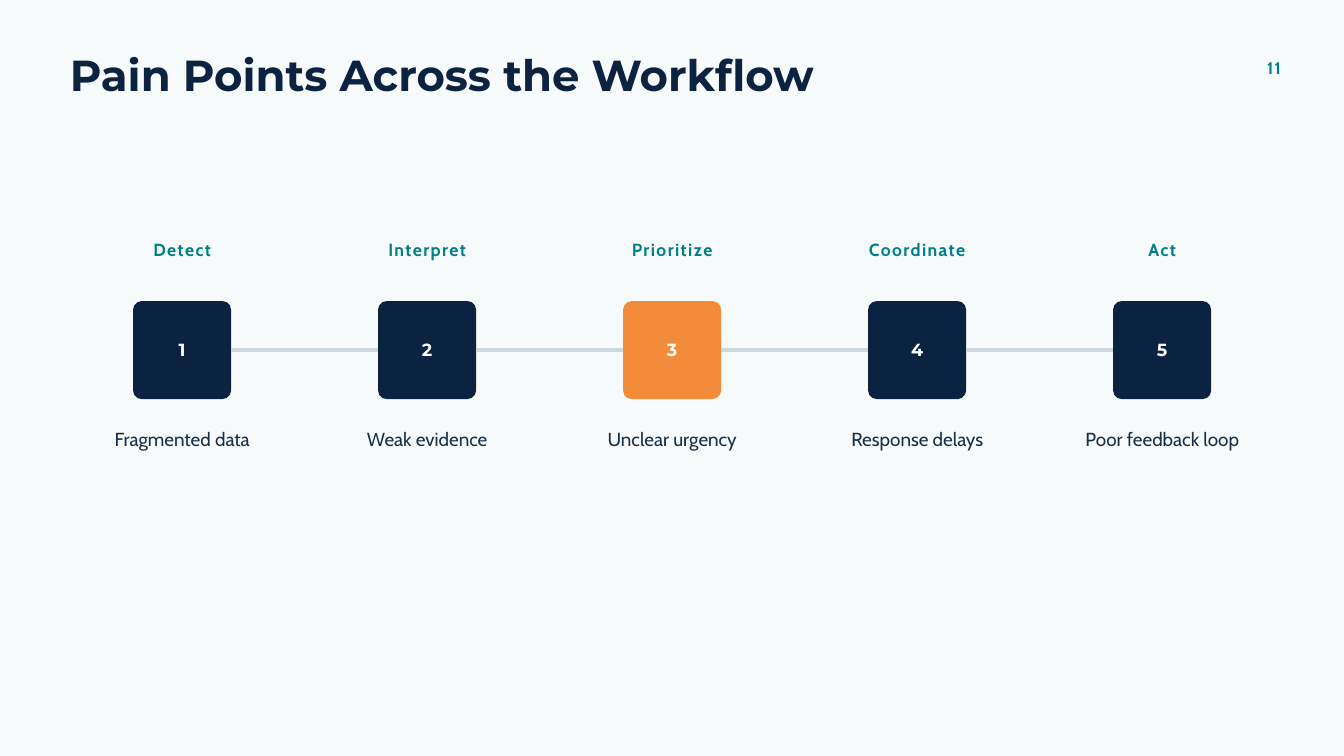
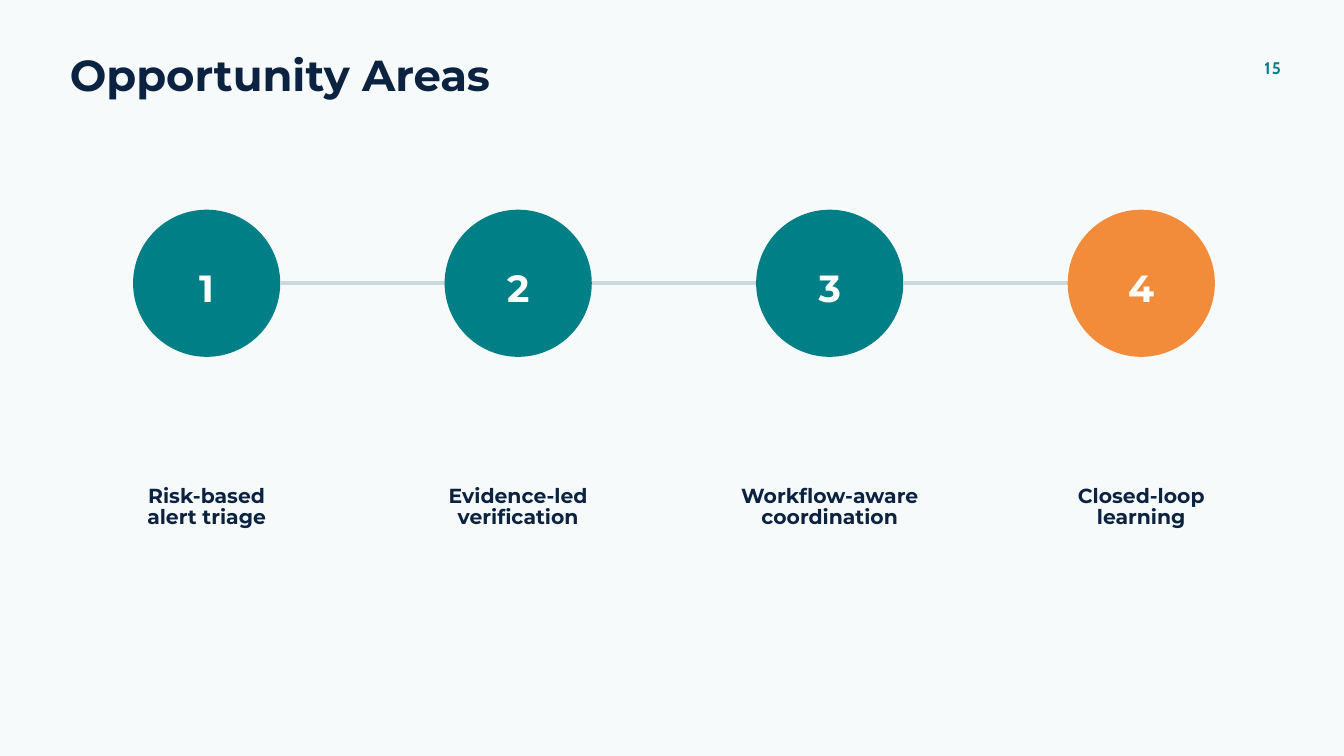
from lxml import etree
from pptx import Presentation
from pptx.dml.color import RGBColor
from pptx.enum.shapes import MSO_CONNECTOR as Connector, MSO_SHAPE as Shape
from pptx.enum.text import MSO_ANCHOR as Anchor, MSO_AUTO_SIZE as AutoSize, PP_ALIGN as Align
from pptx.oxml.ns import qn
from pptx.util import Inches, Pt

COLORS = {
    "background": "F7FAFB",
    "navy": "0B2340",
    "teal": "007F86",
    "orange": "F28C3A",
    "line": "C9D9DC",
    "body": "163047",
    "white": "FFFFFF",
}
HEADING, BODY = "Montserrat", "Cabin"
FIRST_LEFT = 1.98  # left edge of the first node on every slide


def rgb(name):
    return RGBColor.from_string(COLORS[name])


def write(frame, text, *, size, leading, color, font=HEADING, bold=True,
          align=Align.CENTER, tracking=0, inset=0):
    """Fill a text frame, one paragraph for each line of text."""
    frame.word_wrap = True
    frame.margin_left = frame.margin_right = Inches(inset)
    frame.margin_top = frame.margin_bottom = Inches(inset)
    for index, line in enumerate(text.split("\n")):
        paragraph = frame.add_paragraph() if index else frame.paragraphs[0]
        paragraph.alignment = align
        paragraph.line_spacing = Pt(leading)
        run = paragraph.add_run()
        run.text = line
        run.font.name = font
        run.font.size = Pt(size)
        run.font.bold = bold
        run.font.color.rgb = rgb(color)
        if tracking:
            run.font._element.set("spc", str(round(tracking * 100)))


class Deck:
    def __init__(self):
        self.prs = Presentation()
        self.prs.slide_width, self.prs.slide_height = Inches(20), Inches(11.25)
        self.slide = None

    def new_slide(self, title, number):
        self.slide = self.prs.slides.add_slide(self.prs.slide_layouts[6])
        background = self.slide.background.fill
        background.solid()
        background.fore_color.rgb = rgb("background")
        self.text(title, 1.04, 0.81, 15.62, 0.69, size=46.5, leading=48.8,
                  color="navy", align=Align.LEFT)
        self.text(number, 18.33, 0.81, 0.73, 0.34, size=18, leading=25.2,
                  color="teal", font=BODY, align=Align.RIGHT, tracking=1.4)

    def text(self, text, left, top, width, height, **style):
        box = self.slide.shapes.add_textbox(
            Inches(left), Inches(top), Inches(width), Inches(height))
        write(box.text_frame, text, **style)
        box.text_frame.auto_size = AutoSize.SHAPE_TO_FIT_TEXT

    def label(self, text, center, top, width, height, **style):
        self.text(text, center - width / 2, top, width, height, **style)

    def node(self, kind, number, left, top, side, color, corner=None, **style):
        node = self.slide.shapes.add_shape(
            kind, Inches(left), Inches(top), Inches(side), Inches(side))
        node.shadow.inherit = False
        node.fill.solid()
        node.fill.fore_color.rgb = rgb(color)
        node.line.fill.background()
        if corner:
            node.adjustments[0] = corner / side
        node.text_frame.vertical_anchor = Anchor.MIDDLE
        write(node.text_frame, str(number), color="white", inset=0.06, **style)

    def link(self, start, end, y):
        link = self.slide.shapes.add_connector(
            Connector.STRAIGHT, Inches(start), Inches(y), Inches(end), Inches(y))
        link.line.color.rgb = rgb("line")
        link.line.width = Pt(3.75)
        etree.SubElement(link._element.spPr, qn("a:effectLst"))

    def chain(self, items, pitch, side, top, accent, color, kind, **style):
        """Draw linked, numbered nodes; yield each item with its centre."""
        for index, item in enumerate(items):
            left = FIRST_LEFT + index * pitch
            number = index + 1
            self.node(kind, number, left, top, side,
                      "orange" if number == accent else color, **style)
            if number < len(items):
                self.link(left + side, left + pitch, top + side / 2)
            yield item, left + side / 2


def pain_points(deck):
    deck.new_slide("Pain Points Across the Workflow", "11")
    steps = [
        ("Detect", "Fragmented data"),
        ("Interpret", "Weak evidence"),
        ("Prioritize", "Unclear urgency"),
        ("Coordinate", "Response delays"),
        ("Act", "Poor feedback loop"),
    ]
    workflow = deck.chain(steps, pitch=3.646, side=1.46, top=4.48, accent=3,
                          color="navy", kind=Shape.ROUNDED_RECTANGLE,
                          corner=0.13, size=18.8, leading=20.6)
    for (stage, pain), center in workflow:
        deck.label(stage, center, 3.5, 2.92, 0.35, size=18.8, leading=26.2,
                   color="teal", font=BODY, tracking=1.5)
        deck.label(pain, center, 6.32, 2.92, 0.36, size=20.2, leading=27.3,
                   color="body", font=BODY, bold=False)


def opportunity_areas(deck):
    deck.new_slide("Opportunity Areas", "15")
    areas = [
        "Risk-based\nalert triage",
        "Evidence-led\nverification",
        "Workflow-aware\ncoordination",
        "Closed-loop\nlearning",
    ]
    opportunities = deck.chain(areas, pitch=4.636, side=2.19, top=3.12, accent=4,
                               color="teal", kind=Shape.OVAL,
                               size=40.5, leading=56.7)
    for area, center in opportunities:
        deck.label(area, center, 7.23, 3.65, 0.63, size=21.8, leading=22.8,
                   color="navy")


def main():
    deck = Deck()
    pain_points(deck)
    opportunity_areas(deck)
    deck.prs.save("out.pptx")


if __name__ == "__main__":
    main()
